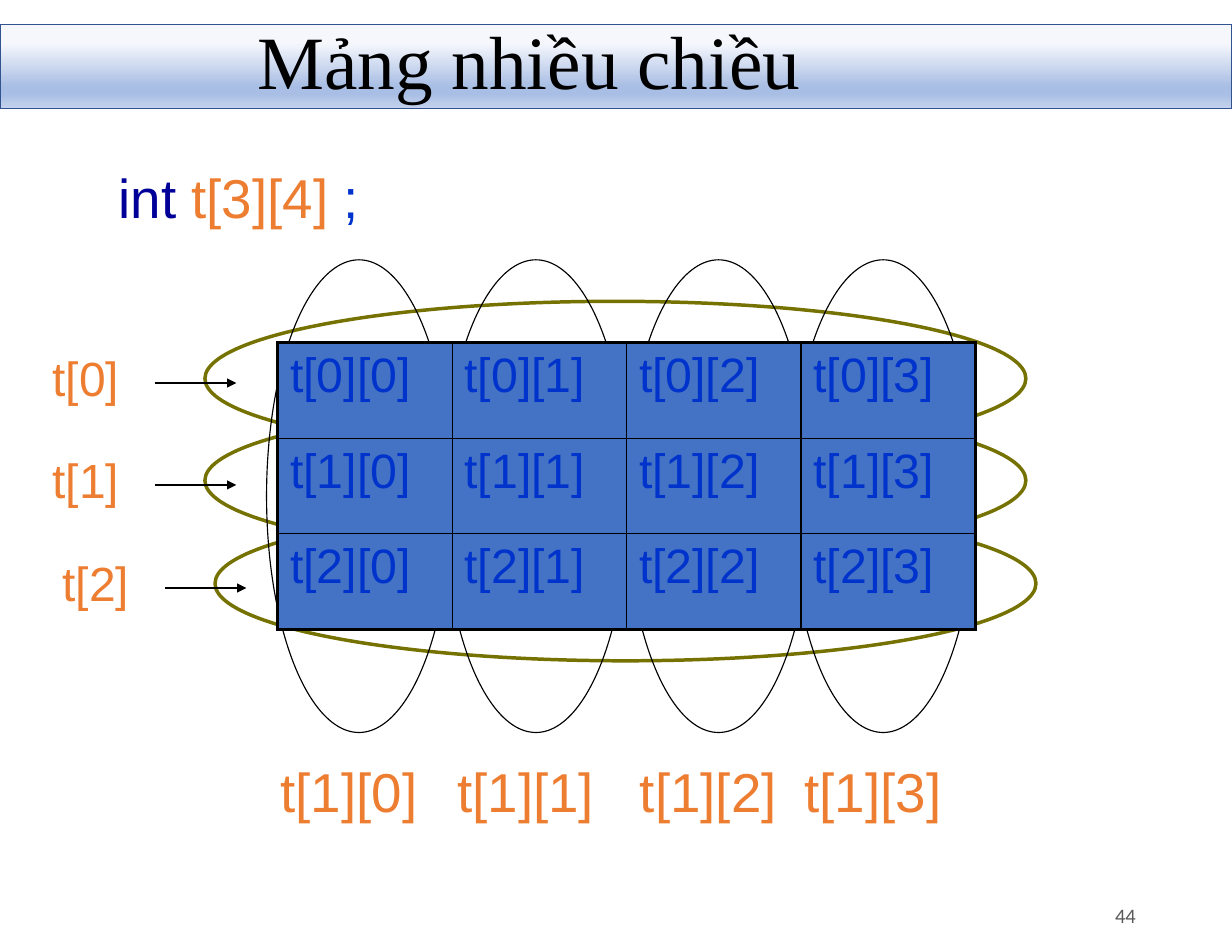
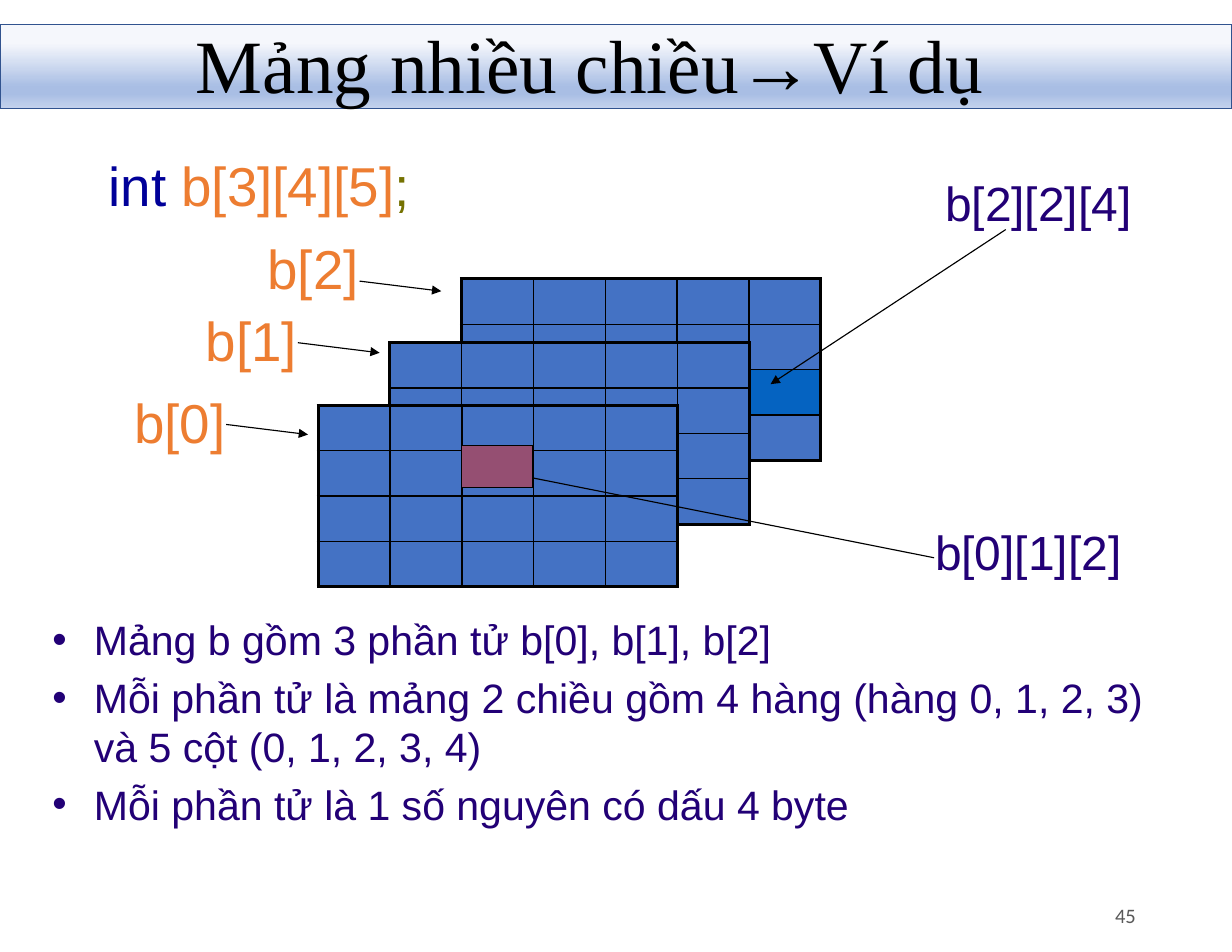
from pptx import Presentation
from pptx.dml.color import RGBColor
from pptx.enum.shapes import MSO_CONNECTOR, MSO_SHAPE
from pptx.enum.text import MSO_ANCHOR, PP_ALIGN
from pptx.oxml import parse_xml
from pptx.oxml.ns import nsdecls, qn
from pptx.util import Inches, Pt
from lxml.etree import SubElement

BLACK, NAVY, ORANGE = "000000", "000099", "ED7D31"
BLUE, OLIVE, INDIGO, GREY = "0033CC", "757201", "220076", "595959"
CELL, CELL_MARK, BLOCK_MARK = "4472C4", "0563C1", "954F72"
BAND_LINE = "31538F"
BAND_STOPS = [(0, "F5F7FC"), (22, "F5F7FC"), (74, "A9BEE4"), (83, "A9BEE4"), (100, "C5D3ED")]

TITLE = {"size": 48.4, "name": "Times New Roman", "color": BLACK}
CODE = {"size": 35.2, "name": "Arial", "color": ORANGE}
LABEL = {**CODE, "size": 30.8}
ELEMENT = {**LABEL, "color": INDIGO}
CELL_TEXT = {**CODE, "size": 31, "color": BLUE}
BODY = {**CODE, "size": 26.4, "color": INDIGO}
NUMBER = {"size": 13.2, "name": "Calibri", "color": GREY}


def rgb(color):
    return RGBColor.from_string(color)


def inches(*values):
    return [Inches(v) for v in values]


def add_run(p, text, style):
    r = p.add_run()
    r.text = text
    for key, value in style.items():
        if key == "color":
            r.font.color.rgb = rgb(value)
        else:
            setattr(r.font, key, Pt(value) if key == "size" else value)


def set_indent(p, left, first):
    pPr = p._p.get_or_add_pPr()
    pPr.set("marL", str(Inches(left)))
    pPr.set("indent", str(Inches(first)))
    return pPr


def add_text(s, box, runs, anchor=MSO_ANCHOR.TOP, **para):
    """Add a one-paragraph text box; runs is a list of (text, style)."""
    tf = s.shapes.add_textbox(*inches(*box)).text_frame
    tf.word_wrap = True
    tf.vertical_anchor = anchor
    p = tf.paragraphs[0]
    for key, value in para.items():
        setattr(p, key, value)
    for text, style in runs:
        add_run(p, text, style)
    return p


def add_shape(s, kind, box, line, width, fill=None):
    sp = s.shapes.add_shape(kind, *inches(*box))
    sp.shadow.inherit = False
    sp.line.color.rgb = rgb(line)
    sp.line.width = Pt(width)
    if fill:
        sp.fill.solid()
        sp.fill.fore_color.rgb = rgb(fill)
    else:
        sp.fill.background()
    return sp


def add_arrow(s, start, end):
    """Draw a thin line with a triangle at its end."""
    c = s.shapes.add_connector(MSO_CONNECTOR.STRAIGHT, *inches(*start, *end))
    c.line.color.rgb = rgb(BLACK)
    c.line.width = Pt(0.75)
    SubElement(c.line._get_or_add_ln(), qn("a:tailEnd"), type="triangle")
    SubElement(c._element.spPr, qn("a:effectLst"))


def add_band(s):
    sp = add_shape(s, MSO_SHAPE.RECTANGLE, (0, 0.22, 11, 0.75), BAND_LINE, 1)
    sp.fill.gradient()
    sp.fill.gradient_angle = 270
    stops = sp._element.spPr.find(qn("a:gradFill")).find(qn("a:gsLst"))
    for stop in list(stops):
        stops.remove(stop)
    for pos, color in BAND_STOPS:
        stop = SubElement(stops, qn("a:gs"), pos=str(pos * 1000))
        SubElement(stop, qn("a:srgbClr"), val=color)


def set_borders(cell, widths):
    """Set the left, right, top and bottom borders, which precede the fill."""
    tcPr = cell._tc.get_or_add_tcPr()
    for i, (side, width) in enumerate(zip("LRTB", widths)):
        tcPr.insert(i, parse_xml(
            f'<a:ln{side} {nsdecls("a")} w="{Pt(width)}"><a:solidFill>'
            f'<a:srgbClr val="{BLACK}"/></a:solidFill></a:ln{side}>'))


def set_empty_size(p, size):
    """Give an empty paragraph its font, which sets the least row height."""
    end = SubElement(p._p, qn("a:endParaRPr"), sz=str(int(size * 100)))
    SubElement(end, qn("a:latin"), typeface="Arial")


def add_grid(s, box, rows, cols, name=None, marked=None):
    """Add a table with thick outer borders; name labels cells by index."""
    left, top, width, height = inches(*box)
    table = s.shapes.add_table(rows, cols, left, top, width, height).table
    table.first_row = table.horz_banding = False
    for i, row in enumerate(table.rows):
        for j, cell in enumerate(row.cells):
            cell.fill.solid()
            cell.fill.fore_color.rgb = rgb(CELL_MARK if (i, j) == marked else CELL)
            edges = (j == 0, j == cols - 1, i == 0, i == rows - 1)
            set_borders(cell, [2.25 if edge else 1 for edge in edges])
            cell.margin_left = cell.margin_right = Pt(8)
            cell.margin_top = cell.margin_bottom = Pt(4)
            p = cell.text_frame.paragraphs[0]
            if name:
                add_run(p, f"{name}[{i}][{j}]", CELL_TEXT)
            else:
                set_empty_size(p, 17.6)


def add_bullets(s, box, items):
    tf = s.shapes.add_textbox(*inches(*box)).text_frame
    tf.word_wrap = True
    for i, item in enumerate(items):
        p = tf.add_paragraph() if i else tf.paragraphs[0]
        p.space_before = Pt(5.3 if i else 0)
        pPr = set_indent(p, 0.37, -0.37)
        SubElement(SubElement(pPr, qn("a:buClr")), qn("a:srgbClr"), val=INDIGO)
        SubElement(pPr, qn("a:buFont"), typeface="Arial")
        SubElement(pPr, qn("a:buChar"), char="•")
        add_run(p, item, BODY)


def add_declaration(s, box, runs):
    p = add_text(s, box, [(text, {**CODE, "color": color}) for text, color in runs])
    set_indent(p, 0.81, -0.31)


def new_slide(prs, title, title_box, number):
    s = prs.slides.add_slide(prs.slide_layouts[6])
    add_band(s)
    add_text(s, title_box, [(title, TITLE)], MSO_ANCHOR.MIDDLE, line_spacing=0.9)
    add_text(s, (8.86, 7.95, 1.38, 0.45), [(str(number), NUMBER)],
             MSO_ANCHOR.MIDDLE, alignment=PP_ALIGN.RIGHT)
    return s


def add_row_ring(s, left, top, label):
    add_shape(s, MSO_SHAPE.OVAL, (left, top, 7.33, 1.38), OLIVE, 2.25)
    add_text(s, (left - 1.46, top + 0.37, 1.19, 0.62), [(label, LABEL)])
    add_arrow(s, (left - 0.45, top + 0.73), (left + 0.28, top + 0.73))


def add_column_ring(s, left, label):
    add_text(s, (left, 6.72, 1.47, 0.69), [(label, CODE)], alignment=PP_ALIGN.CENTER)
    add_shape(s, MSO_SHAPE.OVAL, (left, 2.32, 1.65, 4.22), BLACK, 0.75)


def build_two_dimensions(prs):
    s = new_slide(prs, "Mảng nhiều chiều", (2.2, -0.24, 8.8, 1.64), 44)
    matrix = (2.48, 3.06, 6.23, 2.56)
    add_grid(s, matrix, 3, 4)
    add_declaration(s, (0.46, 1.41, 10.18, 0.82),
                    [("int ", NAVY), ("t[3][4] ", ORANGE), (";", BLUE)])
    for i, (left, top) in enumerate([(1.83, 2.69), (1.83, 3.6), (1.92, 4.52)]):
        add_row_ring(s, left, top, f"t[{i}]")
    for j, left in enumerate((2.38, 3.96, 5.59, 7.06)):
        add_column_ring(s, left, f"t[1][{j}]")
    add_grid(s, matrix, 3, 4, name="t")


def build_three_dimensions(prs):
    s = new_slide(prs, "Mảng nhiều chiều→Ví dụ", (1.65, -0.2, 7.59, 1.64), 45)
    add_declaration(s, (0.37, 1.31, 10.18, 0.73),
                    [("int ", NAVY), ("b[3][4][5]", ORANGE), (";", OLIVE)])
    layers = [(2, 4.12, 2.49, (2.29, 2.05), (3.21, 2.51)),
              (1, 3.48, 3.06, (1.74, 2.69), (2.66, 3.06)),
              (0, 2.84, 3.62, (1.1, 3.42), (2.02, 3.79))]
    for k, left, top, label_at, (x, y) in layers:
        add_grid(s, (left, top, 3.21, 1.48), 4, 5, marked=(2, 4) if k == 2 else None)
        add_text(s, (*label_at, 1.19, 0.69), [(f"b[{k}]", CODE)])
        add_arrow(s, (x, y), (x + 0.73, y + 0.09))
    add_bullets(s, (0.37, 5.44, 10.18, 2.66), [
        "Mảng b gồm 3 phần tử b[0], b[1], b[2]",
        "Mỗi phần tử là mảng 2 chiều gồm 4 hàng (hàng 0, 1, 2, 3) và 5 cột (0, 1, 2, 3, 4)",
        "Mỗi phần tử là 1 số nguyên có dấu 4 byte",
    ])
    for label, at, start, end in [("b[0][1][2]", (8.25, 4.62), (8.34, 4.98), (4.67, 4.25)),
                                  ("b[2][2][4]", (8.34, 1.5), (8.98, 2.05), (6.88, 3.43))]:
        add_arrow(s, start, end)
        add_text(s, (*at, 2.02, 0.62), [(label, ELEMENT)])
    add_shape(s, MSO_SHAPE.RECTANGLE, (4.12, 3.98, 0.64, 0.37), BLACK, 0.75, BLOCK_MARK)


def main():
    prs = Presentation()
    prs.slide_width, prs.slide_height = inches(11, 8.5)
    build_two_dimensions(prs)
    build_three_dimensions(prs)
    prs.save("out.pptx")


if __name__ == "__main__":
    main()
